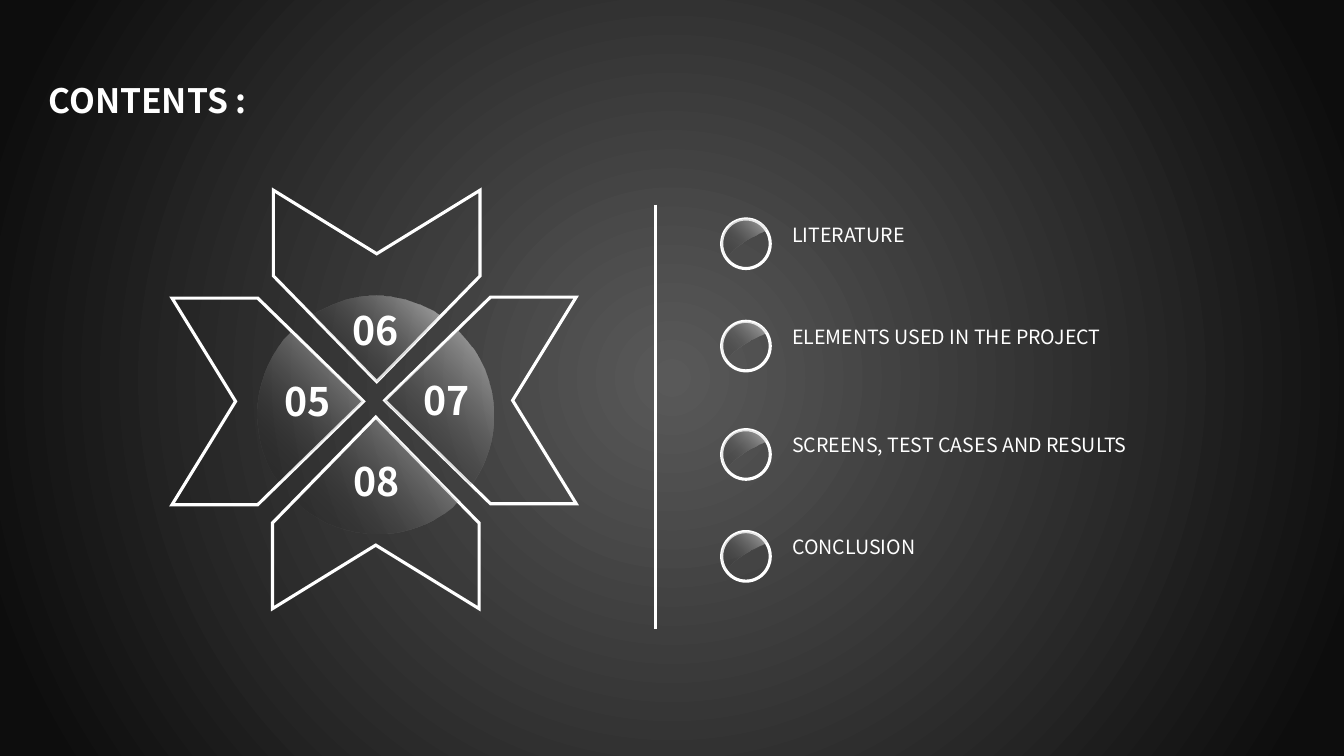
from lxml.etree import SubElement
from pptx import Presentation
from pptx.dml.color import RGBColor
from pptx.enum.shapes import MSO_CONNECTOR, MSO_SHAPE
from pptx.enum.text import MSO_ANCHOR, MSO_AUTO_SIZE, PP_ALIGN
from pptx.oxml import parse_xml
from pptx.oxml.ns import nsdecls, qn
from pptx.util import Pt

COLORS = {"white": "FFFFFF", "black": "000000", "centre": "595959", "edge": "0D0D0D"}
FONT = "Noto Sans CJK SC"
OUTLINE = 2.25
ARROW = [(-73.8, -75.6), (-73.8, -136.8), (0, -91.4), (73.8, -136.8), (73.8, -75.6), (0, 0), (-73.8, -75.6)]
PETALS = [
    ("06", (269.1, 272.7), (244.8, 215.3), [
        [(268.6, 211)], [(283, 211), (296.6, 215.3), (308.9, 221.8)], [(314.6, 225.4)],
        [(269.3, 272.2)], [(223.2, 224.6)], [(229, 221.8)],
        [(240.5, 215.3), (254.2, 211), (268.6, 211)],
    ]),
    ("07", (274.8, 286), (295.2, 265), [
        [(326.9, 236.2)], [(328.3, 237.6)], [(343.4, 252.7), (352.8, 273.6), (352.8, 296.6)],
        [(352.8, 313.9), (347, 330.5), (338.4, 343.4)], [(336.2, 346.3)],
        [(275, 286.6)], [(326.9, 236.2)],
    ]),
    ("08", (268.4, 298), (245.5, 323.3), [
        [(269.3, 298.8)], [(326.9, 357.8)], [(322.6, 362.2)],
        [(308.2, 373.7), (289.4, 380.9), (269.3, 380.9)],
        [(249.1, 380.9), (230.4, 373.7), (216, 362.2)], [(211.7, 357.8)], [(269.3, 298.8)],
    ]),
    ("05", (259.7, 286.7), (195.8, 266), [
        [(208.1, 237.6)], [(259.2, 286.6)], [(200.2, 344.9)], [(198.7, 343.4)],
        [(189.4, 329.8), (184.3, 313.9), (184.3, 295.9)],
        [(184.3, 275.8), (191.5, 257.8), (203, 242.6)], [(208.1, 237.6)],
    ]),
]
GLARE = [
    [(18, 0)], [(22.3, 0), (26.6, 2.2), (30.2, 5.8)], [(31.7, 7.9)], [(27.4, 10.1)],
    [(17.3, 14.4), (10.1, 19.4), (4.3, 25.9)], [(2.9, 27.4)], [(2.2, 26.6)],
    [(1.4, 23.8), (0, 20.9), (0, 18)], [(0, 7.9), (7.9, 0), (18, 0)],
]
TOPICS = [
    ("LITERATURE ", 156.4),
    ("ELEMENTS USED IN THE PROJECT", 229.5),
    ("SCREENS, TEST CASES AND RESULTS ", 306.9),
    ("CONCLUSION", 379.7),
]


def apply_gradient(element, stops, direction):
    stop_xml = "".join(
        f'<a:gs pos="{position * 1000}"><a:srgbClr val="{COLORS[color]}">'
        f'<a:alpha val="{alpha * 1000}"/></a:srgbClr></a:gs>'
        for position, color, alpha in stops
    )
    gradient = parse_xml(
        f'<a:gradFill {nsdecls("a")} rotWithShape="1"><a:gsLst>{stop_xml}</a:gsLst>{direction}</a:gradFill>'
    )
    empty_fill = element.find(".//" + qn("a:noFill"))
    empty_fill.getparent().replace(empty_fill, gradient)


def paint_background(slide):
    slide.background.fill.background()
    apply_gradient(
        slide.element.find(".//" + qn("p:bgPr")),
        [(0, "centre", 100), (94, "edge", 100)],
        '<a:path path="circle"><a:fillToRect l="50000" t="50000" r="50000" b="50000"/></a:path>',
    )


def set_outline(shape):
    shape.line.color.rgb = RGBColor.from_string(COLORS["white"])
    shape.line.width = Pt(OUTLINE)
    SubElement(shape.element.spPr.find(qn("a:ln")), qn("a:miter"), lim="800000")


def bend_curves(outline, segments):
    lines = iter(outline.element.findall(".//" + qn("a:lnTo")))
    for segment in segments:
        parts = [next(lines) for _ in segment]
        if len(parts) == 3:
            curve = parse_xml(f'<a:cubicBezTo {nsdecls("a")}/>')
            parts[0].addprevious(curve)
            for part in parts:
                curve.append(part[0])
                part.getparent().remove(part)


def draw_outline(shapes, segments, left=0, top=0):
    points = [(Pt(left + x), Pt(top + y)) for segment in segments for x, y in segment]
    builder = shapes.build_freeform(*points[0])
    builder.add_line_segments(points[1:], close=True)
    outline = builder.convert_to_shape()
    bend_curves(outline, segments[1:])
    outline.shadow.inherit = False
    outline.fill.background()
    return outline


def draw_shine(shapes, segments, left=0, top=0):
    shine = draw_outline(shapes, segments, left, top)
    shine.line.fill.background()
    apply_gradient(
        shine.element.spPr,
        [(0, "black", 0), (100, "white", 58)],
        '<a:lin ang="18900000" scaled="0"/>',
    )


def write_text(box, text, size, bold=False, align=PP_ALIGN.LEFT):
    frame = box.text_frame
    frame.text = text
    frame.word_wrap = True
    frame.auto_size = MSO_AUTO_SIZE.SHAPE_TO_FIT_TEXT
    frame.vertical_anchor = MSO_ANCHOR.TOP
    paragraph = frame.paragraphs[0]
    paragraph.alignment = align
    font = paragraph.runs[0].font
    font.name, font.size, font.bold = FONT, Pt(size), bold
    font.color.rgb = RGBColor.from_string(COLORS["white"])


def add_title(slide):
    title = slide.shapes.title
    title.left, title.top, title.width, title.height = Pt(27.4), Pt(53.3), Pt(220), Pt(36)
    write_text(title, "CONTENTS :", 24, bold=True)


def rotate_quarters(point, turns):
    x, y = point
    for _ in range(turns):
        x, y = -y, x
    return x, y


def add_petal(slide, turns, number, tip, number_at, wedge):
    petal = slide.shapes.add_group_shape().shapes
    arrow = draw_outline(petal, [[rotate_quarters(point, turns)] for point in ARROW], *tip)
    set_outline(arrow)
    draw_shine(petal, wedge)
    label = petal.add_textbox(Pt(number_at[0]), Pt(number_at[1]), Pt(62), Pt(41))
    write_text(label, number, 28, bold=True)


def add_divider(slide):
    divider = slide.shapes.add_connector(
        MSO_CONNECTOR.STRAIGHT, Pt(468.4), Pt(146.2), Pt(468.4), Pt(449.3)
    )
    set_outline(divider)
    SubElement(divider.element.spPr, qn("a:effectLst"))


def add_topic(slide, text, top):
    topic = slide.shapes.add_group_shape().shapes
    ring = topic.add_shape(MSO_SHAPE.OVAL, Pt(515.5), Pt(top), Pt(34.7), Pt(35.4))
    ring.shadow.inherit = False
    ring.fill.background()
    set_outline(ring)
    draw_shine(topic, GLARE, 515.5, top)
    label = topic.add_textbox(Pt(558.7), Pt(top - 1), Pt(334), Pt(24.5))
    write_text(label, text, 14, align=PP_ALIGN.JUSTIFY)


def main():
    deck = Presentation()
    deck.slide_width, deck.slide_height = Pt(960), Pt(540)
    slide = deck.slides.add_slide(deck.slide_layouts[5])
    paint_background(slide)
    add_title(slide)
    for turns, (number, tip, number_at, wedge) in enumerate(PETALS):
        add_petal(slide, turns, number, tip, number_at, wedge)
    add_divider(slide)
    for text, top in TOPICS:
        add_topic(slide, text, top)
    deck.save("out.pptx")


if __name__ == "__main__":
    main()
